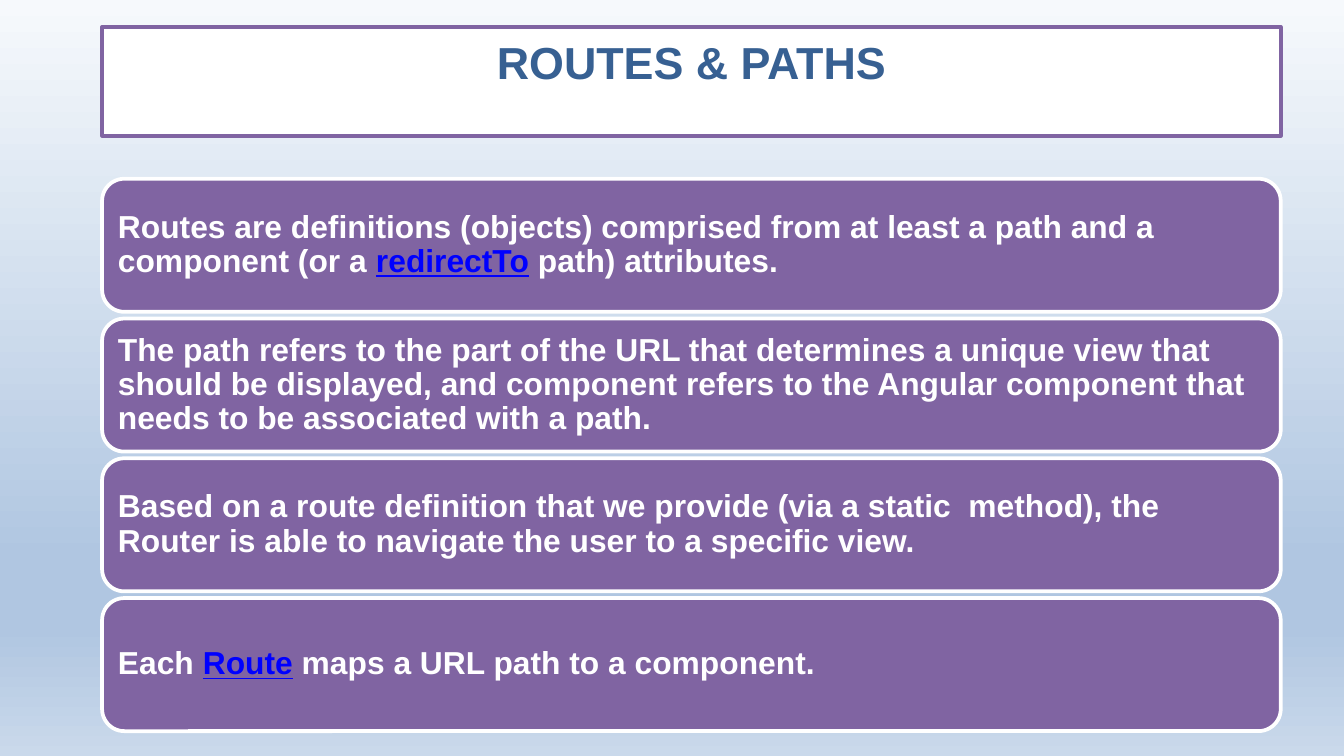
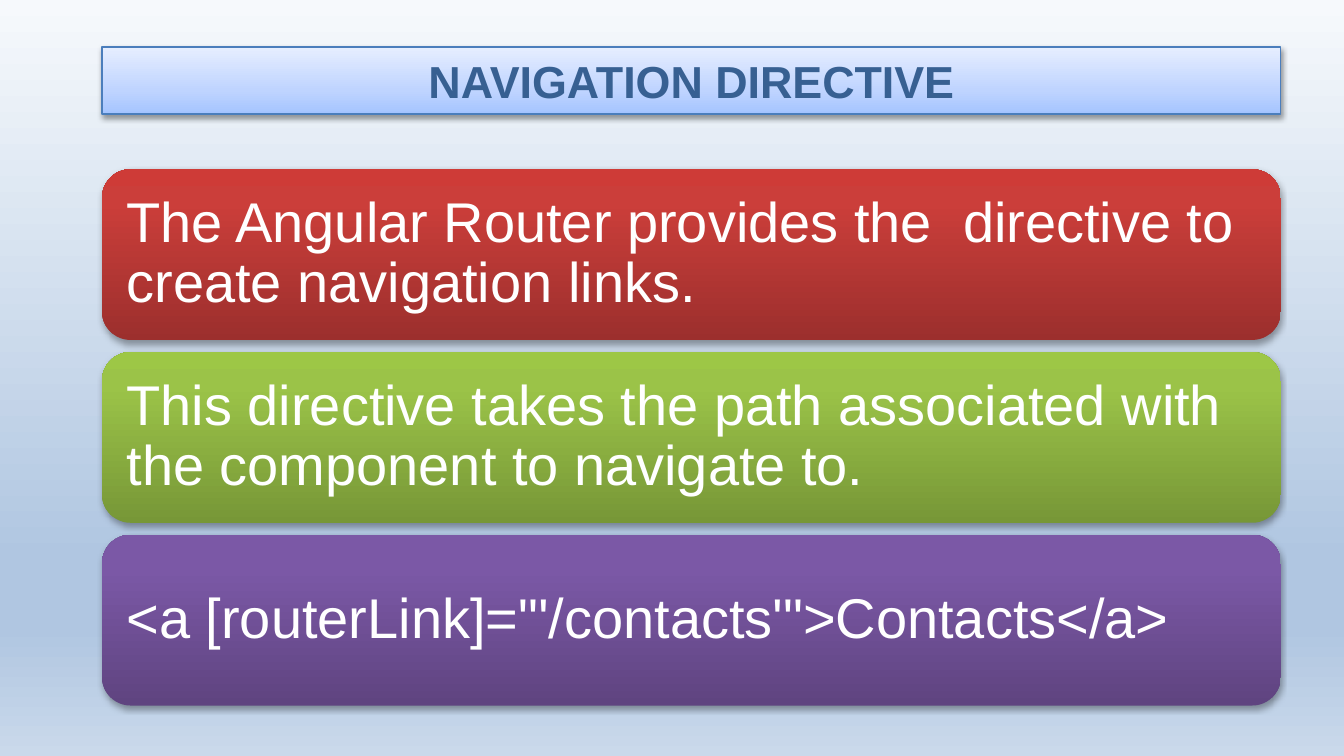
"""Build two slides on routes, paths and the navigation directive."""
from lxml.etree import SubElement
from pptx import Presentation
from pptx.dml.color import RGBColor
from pptx.enum.shapes import MSO_SHAPE as Shape
from pptx.enum.text import MSO_ANCHOR as Anchor, PP_ALIGN as Align
from pptx.oxml.ns import qn
from pptx.util import Inches, Pt

WHITE = RGBColor(0xFF, 0xFF, 0xFF)
BLACK = RGBColor(0x00, 0x00, 0x00)
PURPLE = RGBColor(0x80, 0x64, 0xA2)
TITLE_BLUE = RGBColor(0x37, 0x60, 0x92)
LINK_BLUE = RGBColor(0x00, 0x00, 0xFF)
EDGE_BLUE = RGBColor(0x4B, 0x7E, 0xBC)

SKY = [(0, RGBColor(0xF6, 0xF9, 0xFC)), (74, RGBColor(0xB0, 0xC6, 0xE1)),
       (83, RGBColor(0xB0, 0xC6, 0xE1)), (100, RGBColor(0xCA, 0xD9, 0xEB))]
TITLE_SHADE = [(0, RGBColor(0xA4, 0xC4, 0xFF)), (35, RGBColor(0xBF, 0xD4, 0xFF)),
               (100, RGBColor(0xE6, 0xEE, 0xFF))]
RED_SHADE = [(0, RGBColor(0x9C, 0x2F, 0x2D)), (80, RGBColor(0xCB, 0x3E, 0x3A)),
             (100, RGBColor(0xCE, 0x3B, 0x37))]
GREEN_SHADE = [(0, RGBColor(0x77, 0x97, 0x37)), (80, RGBColor(0x9B, 0xC3, 0x48)),
               (100, RGBColor(0x9D, 0xC7, 0x46))]
PURPLE_SHADE = [(0, RGBColor(0x5F, 0x44, 0x80)), (80, RGBColor(0x7B, 0x58, 0xA6)),
                (100, RGBColor(0x7C, 0x57, 0xA8))]

LEFT, WIDTH = 0.76, 8.77
TITLE_FONT = {"size": Pt(24), "bold": True, "name": "Arial"}
ROUTE_FONT = {"size": Pt(17), "bold": True, "name": "Arial"}
DIRECTIVE_FONT = {"size": Pt(30), "bold": False, "name": "Arial"}


def paint_gradient(fill, element, stops, angle):
    fill.gradient()
    fill.gradient_angle = angle
    stop_list = next(element.iter(qn("a:gsLst")))
    stop_list.clear()
    for percent, color in stops:
        stop = SubElement(stop_list, qn("a:gs"), pos=str(percent * 1000))
        SubElement(stop, qn("a:srgbClr"), val=str(color))


def add_panel(page, kind, top, height, fill, line, spans, font, frame_format,
              para_format, shadow=None):
    box = page.shapes.add_shape(kind, Inches(LEFT), Inches(top), Inches(WIDTH), Inches(height))
    box.shadow.inherit = False
    if isinstance(fill, list):
        paint_gradient(box.fill, box.element, fill, 90)
    else:
        box.fill.solid()
        box.fill.fore_color.rgb = fill
    if line:
        box.line.color.rgb, box.line.width = line
    else:
        box.line.fill.background()
    if shadow:
        alpha, blur, distance = shadow
        effects = next(box.element.iter(qn("a:effectLst")))
        outer = SubElement(effects, qn("a:outerShdw"), blurRad=str(Pt(blur)),
                           dist=str(Pt(distance)), dir="5400000", rotWithShape="0")
        tint = SubElement(outer, qn("a:srgbClr"), val=str(BLACK))
        SubElement(tint, qn("a:alpha"), val=str(alpha * 1000))
    frame = box.text_frame
    para = frame.paragraphs[0]
    for target, values in ((frame, frame_format), (para, para_format)):
        for name, value in values.items():
            setattr(target, name, value)
    for text, color in spans:
        span = para.add_run()
        span.text = text
        for name, value in font.items():
            setattr(span.font, name, value)
        span.font.color.rgb = color
        if color == LINK_BLUE:
            span.font.underline = True


deck = Presentation()
deck.slide_width, deck.slide_height = Inches(10), Inches(10 * 9 / 16)
routes_page, directive_page = [deck.slides.add_slide(deck.slide_layouts[6]) for _ in range(2)]
for page in (routes_page, directive_page):
    paint_gradient(page.background.fill, page.element, SKY, 270)

centred = {"alignment": Align.CENTER}
card_para = {"alignment": Align.LEFT, "line_spacing": 0.9}
margins = ("margin_left", "margin_top", "margin_right", "margin_bottom")

add_panel(routes_page, Shape.RECTANGLE, 0.2, 0.81, WHITE, (PURPLE, Pt(2)),
          [("ROUTES & PATHS", TITLE_BLUE)], TITLE_FONT,
          {"word_wrap": True, "vertical_anchor": Anchor.TOP, "margin_top": Inches(0.06)}, centred)

route_cards = [
    [("Routes are definitions (objects) comprised from at least a path and a component (or a ", WHITE),
     ("redirectTo", LINK_BLUE), (" path) attributes.", WHITE)],
    [("The path refers to the part of the URL that determines a unique view that should be "
      "displayed, and component refers to the Angular component that needs to be associated "
      "with a path.", WHITE)],
    [("Based on a route definition that we provide (via a static  method), the Router is able "
      "to navigate the user to a specific view.", WHITE)],
    [("Each ", WHITE), ("Route", LINK_BLUE), (" maps a URL path to a component.", WHITE)],
]
route_frame = {"word_wrap": True, "vertical_anchor": Anchor.MIDDLE,
               **dict.fromkeys(margins, Inches(0.07))}
for row, spans in enumerate(route_cards):
    add_panel(routes_page, Shape.ROUNDED_RECTANGLE, 1.33 + 1.04 * row, 0.99, PURPLE,
              (WHITE, Pt(2)), spans, ROUTE_FONT, route_frame, card_para)

add_panel(directive_page, Shape.RECTANGLE, 0.35, 0.5, TITLE_SHADE, (EDGE_BLUE, Pt(0.75)),
          [("NAVIGATION DIRECTIVE", TITLE_BLUE)], TITLE_FONT,
          {"word_wrap": True, "vertical_anchor": Anchor.MIDDLE}, centred, (38, 3.1, 1.6))

directive_cards = [
    (RED_SHADE, "The Angular Router provides the  directive to create navigation links."),
    (GREEN_SHADE, "This directive takes the path associated with the component to navigate to."),
    (PURPLE_SHADE, """<a [routerLink]="'/contacts'">Contacts</a>"""),
]
directive_frame = {**route_frame, **dict.fromkeys(margins, Inches(0.12))}
for row, (shade, text) in enumerate(directive_cards):
    add_panel(directive_page, Shape.ROUNDED_RECTANGLE, 1.26 + 1.36 * row, 1.27, shade, None,
              [(text, WHITE)], DIRECTIVE_FONT, directive_frame, card_para, (35, 3.1, 1.8))

deck.save("out.pptx")
